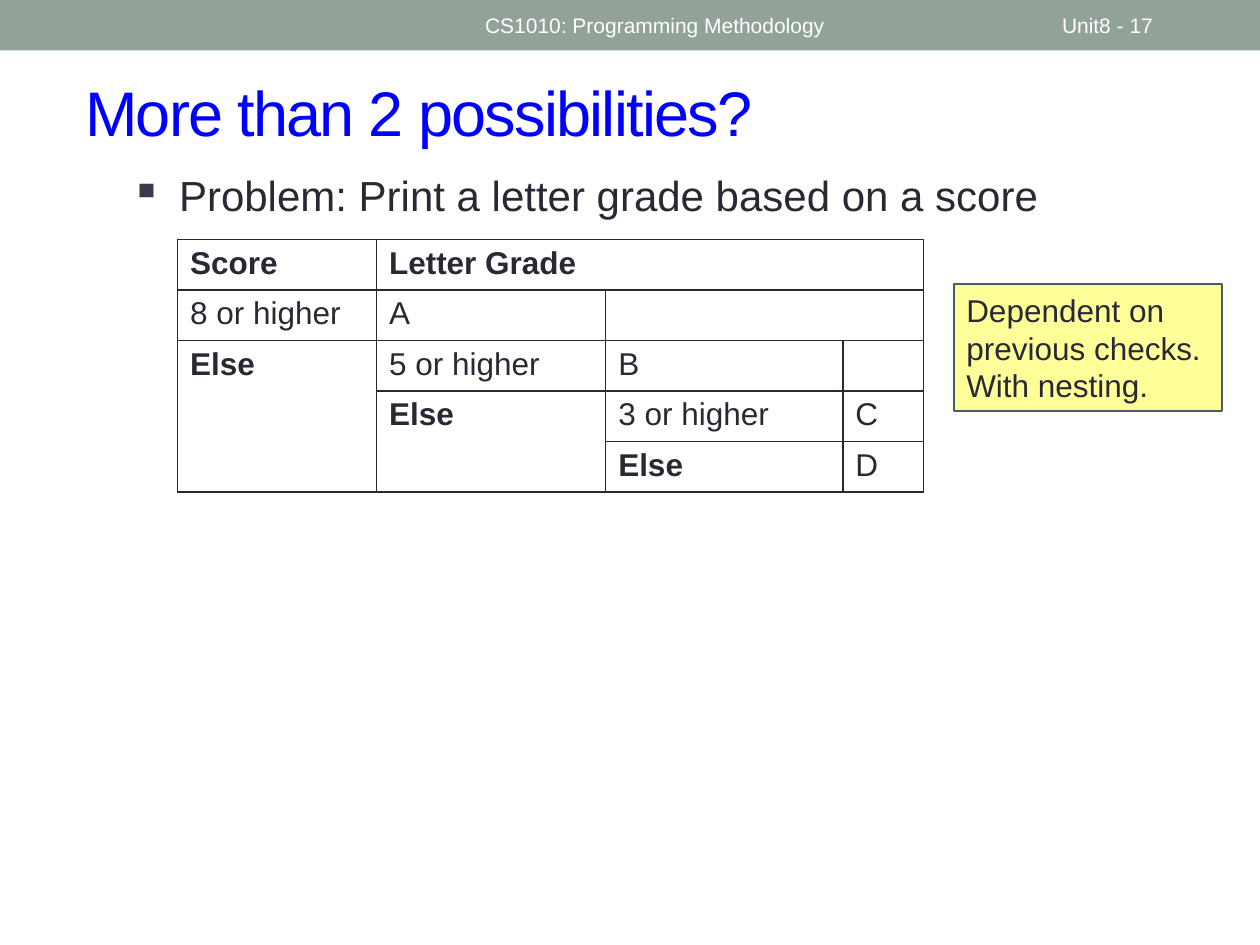
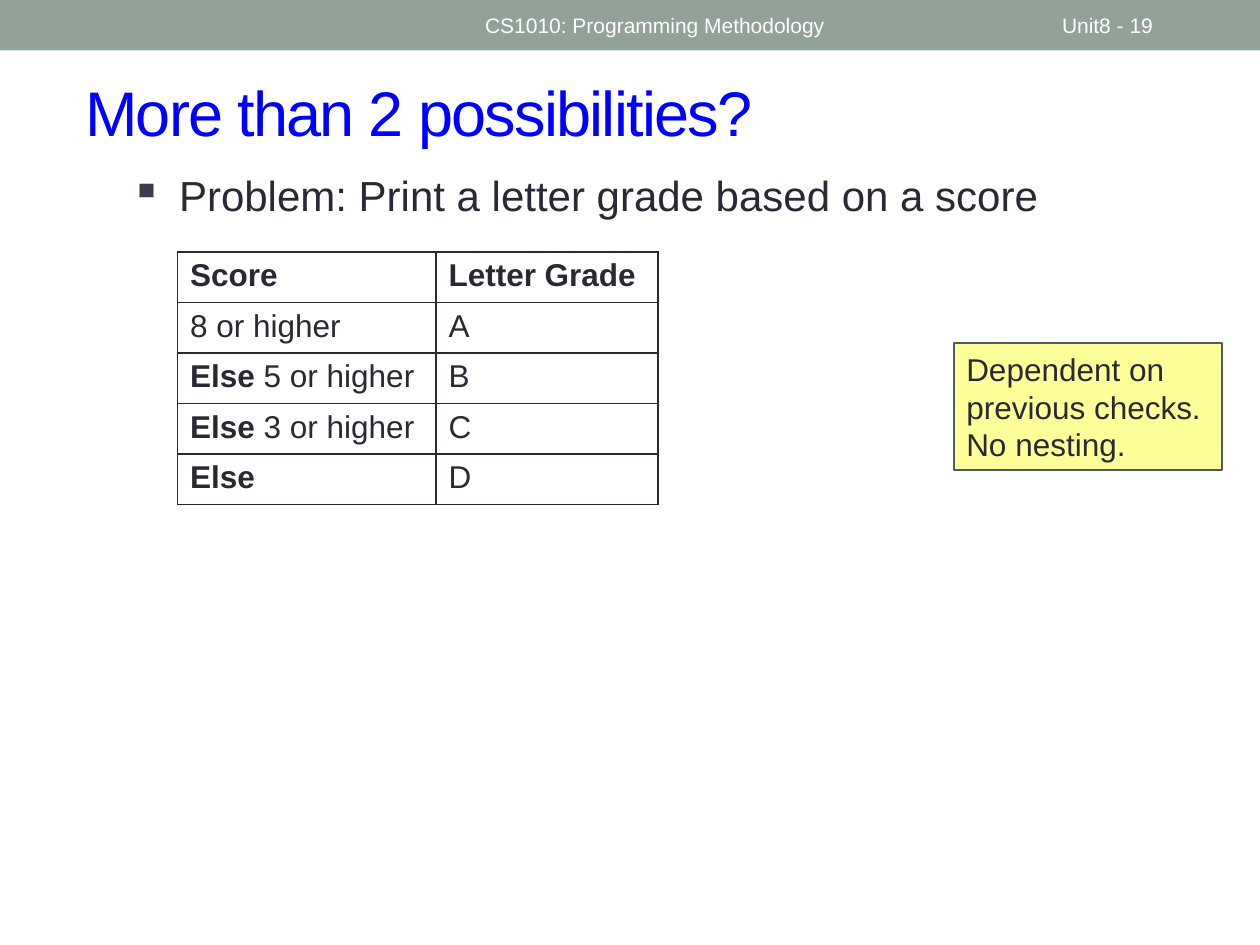
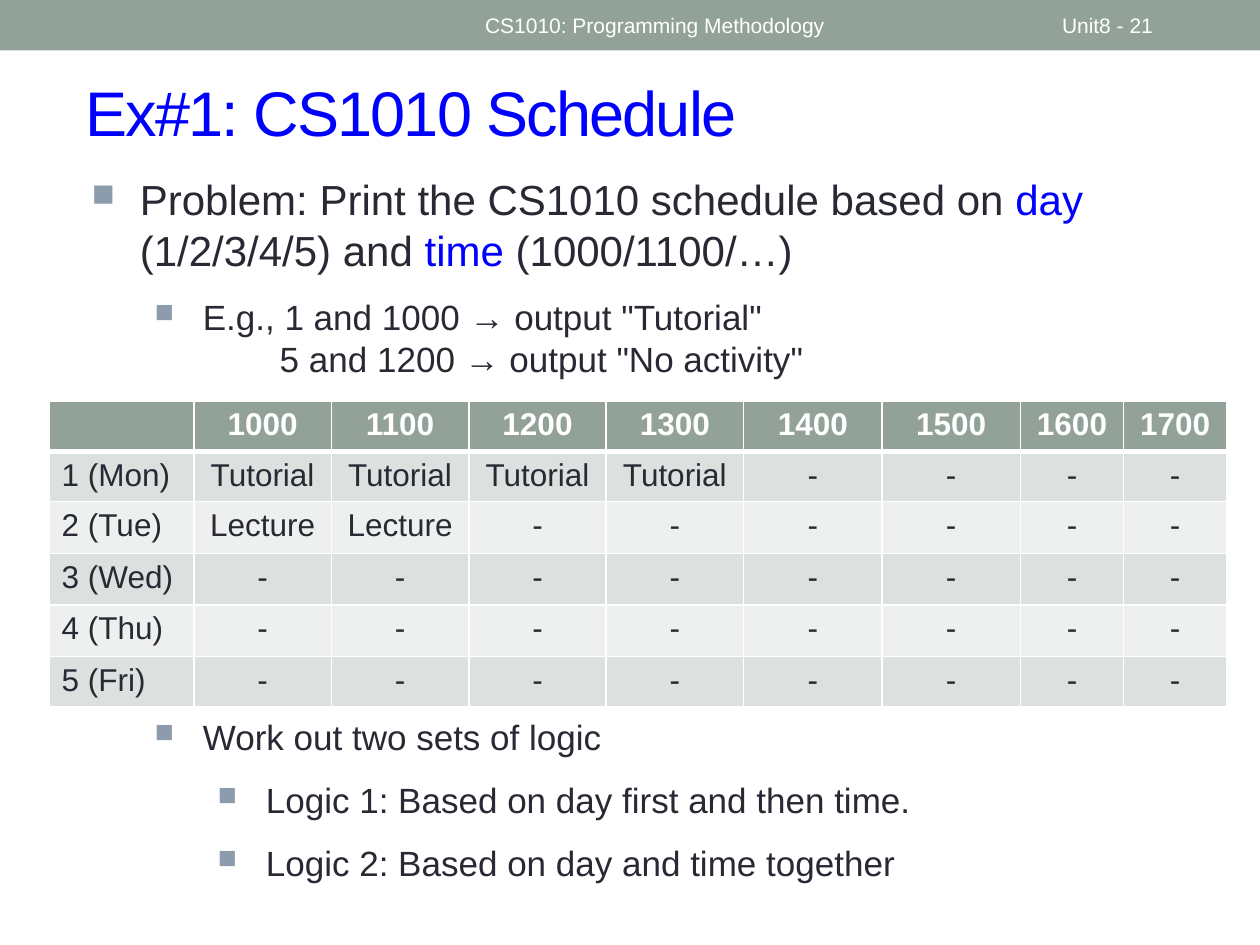
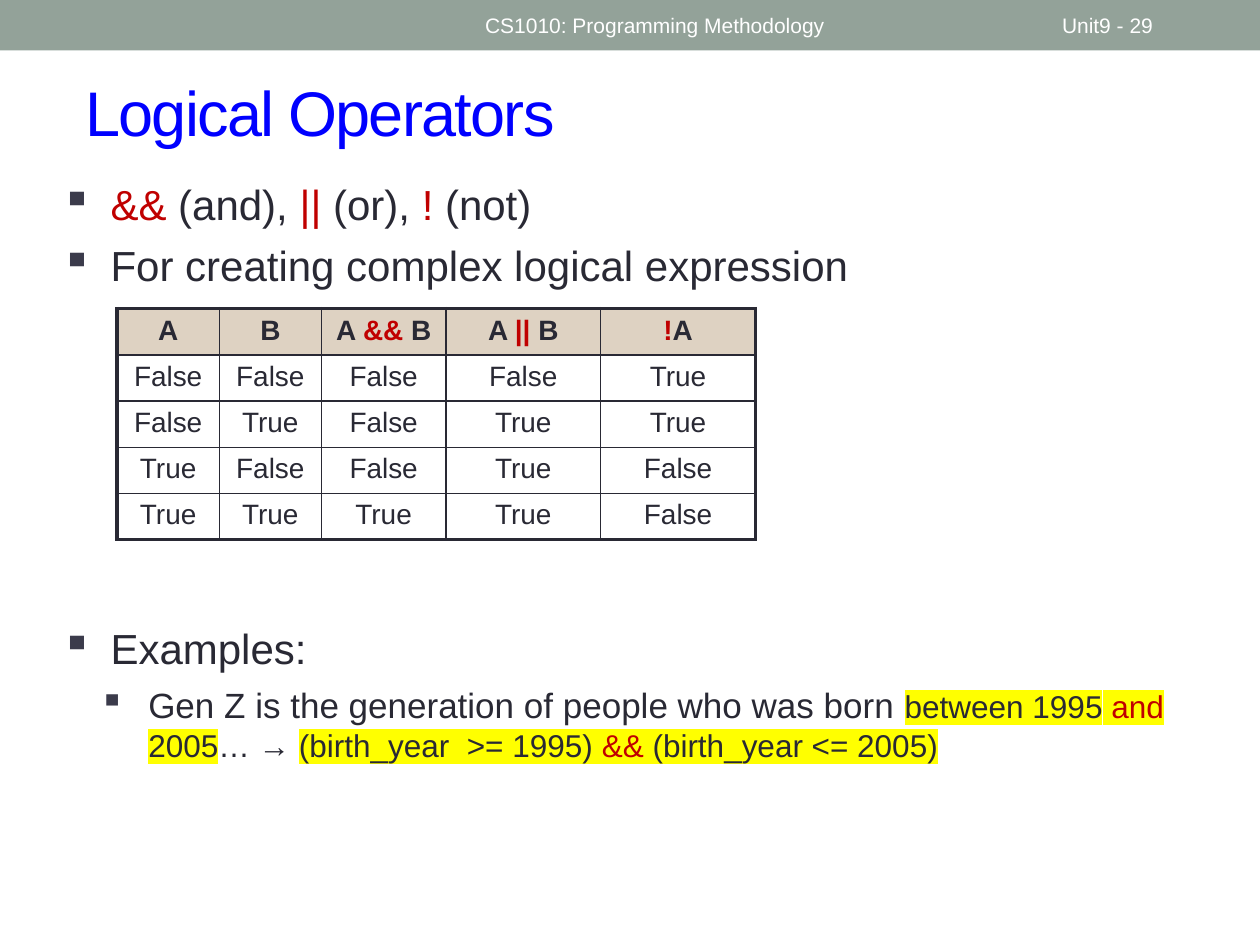
from lxml.etree import SubElement
from pptx import Presentation
from pptx.dml.color import RGBColor
from pptx.enum.shapes import MSO_SHAPE
from pptx.enum.text import MSO_ANCHOR, MSO_AUTO_SIZE, PP_ALIGN
from pptx.oxml.ns import qn
from pptx.util import Cm, Pt

INK = RGBColor(0x29, 0x29, 0x34)
WHITE = RGBColor(0xFF, 0xFF, 0xFF)
SAGE = RGBColor(0x93, 0xA2, 0x99)
BLUE = RGBColor(0x00, 0x00, 0xFF)
RED = RGBColor(0xC0, 0x00, 0x00)
NOTE_FILL = RGBColor(0xFF, 0xFF, 0x99)
NOTE_LINE = RGBColor(0x4C, 0x5A, 0x6A)
MARKER = RGBColor(0xFF, 0xFF, 0x00)
DARK_BULLET = RGBColor(0x3B, 0x3B, 0x4B)
GREY_BULLET = RGBColor(0x8C, 0x9C, 0xAD)
BAND_DARK = RGBColor(0xDC, 0xE0, 0xDE)
BAND_LIGHT = RGBColor(0xEE, 0xF0, 0xEF)
TAN = RGBColor(0xDE, 0xD2, 0xC2)

FONT = "Arial"
COURSE = "CS1010: Programming Methodology"
BOLD = {"bold": True}
IN_BLUE = {"color": BLUE}
IN_RED = {"color": RED}
MARKED = {"size": Pt(18), "highlight": MARKER}
MARKED_RED = {**MARKED, **IN_RED}
SMALL_SQUARE = {"char": "▪", "color": DARK_BULLET, "percent": 100}
BIG_SQUARE = {"char": "■", "color": GREY_BULLET, "percent": 75}


def add_runs(p, runs, size, color=INK, bold=False, spacing=None):
    """Fill a paragraph with plain strings or (text, format) pairs."""
    for item in [runs] if isinstance(runs, str) else runs:
        text, own = (item, {}) if isinstance(item, str) else item
        fmt = {"name": FONT, "size": Pt(size), "bold": bold, "color": color, **own}
        r = p.add_run()
        r.text = text
        r.font.color.rgb = fmt.pop("color")
        highlight = fmt.pop("highlight", None)
        for name, value in fmt.items():
            setattr(r.font, name, value)
        rPr = r.font._element
        if spacing is not None:
            rPr.set("spc", str(spacing))
        if highlight is not None:
            mark = SubElement(rPr, qn("a:highlight"))
            SubElement(mark, qn("a:srgbClr"), val=str(highlight))
            rPr.find(qn("a:solidFill")).addnext(mark)


def add_text(s, at, runs=None, size=12, color=INK, anchor=MSO_ANCHOR.MIDDLE, spacing=None):
    """Add a wrapping text box and return its text frame."""
    tf = s.shapes.add_textbox(*map(Cm, at)).text_frame
    tf.word_wrap = True
    tf.vertical_anchor = anchor
    if runs:
        add_runs(tf.paragraphs[0], runs, size, color, spacing=spacing)
    return tf


def add_box(s, at, fill, line=None):
    """Add a flat rectangle, outlined when a line colour is given."""
    sp = s.shapes.add_shape(MSO_SHAPE.RECTANGLE, *map(Cm, at))
    sp.shadow.inherit = False
    sp.fill.solid()
    sp.fill.fore_color.rgb = fill
    if line is None:
        sp.line.fill.background()
    else:
        sp.line.color.rgb = line
        sp.line.width = Pt(1)
    return sp


def add_frame(prs, title, page):
    """Start a slide with its band, title, course name and page."""
    s = prs.slides.add_slide(prs.slide_layouts[6])
    add_box(s, (0, 0, 25.4, 1.02), SAGE)
    add_text(s, (1.47, 1.07, 23.29, 2.34), title, 36, BLUE, spacing=-100)
    add_text(s, (21.16, 0.05, 2.97, 0.91), page, color=WHITE)
    add_text(s, (9.53, 0.05, 11.43, 0.91), COURSE, color=WHITE)
    return s


def set_bullet(p, margin, hang, bullet):
    """Indent a paragraph and give it a bullet, if there is one."""
    pPr = p._p.get_or_add_pPr()
    pPr.set("marL", str(Cm(margin)))
    pPr.set("indent", str(-Cm(hang)))
    if bullet is None:
        SubElement(pPr, qn("a:buNone"))
        return
    color = SubElement(pPr, qn("a:buClr"))
    SubElement(color, qn("a:srgbClr"), val=str(bullet["color"]))
    SubElement(pPr, qn("a:buSzPct"), val=str(bullet["percent"] * 1000))
    SubElement(pPr, qn("a:buChar"), char=bullet["char"])


def add_bullets(s, at, items, bullet, hang):
    """Add a body of (level, margin, size, space before, runs) paragraphs."""
    tf = add_text(s, at, anchor=MSO_ANCHOR.TOP)
    for i, (level, margin, size, before, runs) in enumerate(items):
        p = tf.add_paragraph() if i else tf.paragraphs[0]
        p.level = level
        p.space_before = Pt(before)
        continued = before == 0 and i > 0
        set_bullet(p, margin, 0 if continued else hang, None if continued else bullet)
        add_runs(p, runs, size)


def add_note(s, top, lines):
    """Add the yellow remark at the right of the slide."""
    sp = add_box(s, (19.23, top, 5.41, 2.57), NOTE_FILL, NOTE_LINE)
    tf = sp.text_frame
    tf.word_wrap = True
    tf.auto_size = MSO_AUTO_SIZE.SHAPE_TO_FIT_TEXT
    for i, line in enumerate(lines):
        p = tf.add_paragraph() if i else tf.paragraphs[0]
        p.alignment = PP_ALIGN.LEFT
        add_runs(p, line, 18)


def set_borders(cell, color, widths):
    """Draw the left, right, top and bottom borders of a cell."""
    tcPr = cell._tc.get_or_add_tcPr()
    for side, width in zip("LRTB", widths):
        ln = SubElement(tcPr, qn(f"a:ln{side}"), w=str(Pt(width)))
        fill = SubElement(ln, qn("a:solidFill"))
        SubElement(fill, qn("a:srgbClr"), val=str(color))


def add_grid(s, left, top, cols, rows, data, fills, aligns, size=18,
             line=INK, head_color=INK, outer=1, under_head=1, merges=()):
    """Add a table with a bold head row, ruled cells and merged areas."""
    last_row, last_col = len(rows) - 1, len(cols) - 1
    table = s.shapes.add_table(len(rows), len(cols), Cm(left), Cm(top),
                               Cm(sum(cols)), Cm(sum(rows))).table
    table.horz_banding = False
    for column, width in zip(table.columns, cols):
        column.width = Cm(width)
    for row, height in zip(table.rows, rows):
        row.height = Cm(height)
    for i, values in enumerate(data):
        for j, runs in enumerate(values):
            cell = table.cell(i, j)
            set_borders(cell, line, (
                outer if j == 0 else 1,
                outer if j == last_col else 1,
                outer if i == 0 else under_head if i == 1 else 1,
                under_head if i == 0 else outer if i == last_row else 1))
            cell.fill.solid()
            cell.fill.fore_color.rgb = fills[i]
            p = cell.text_frame.paragraphs[0]
            p.alignment = aligns[j]
            if runs:
                add_runs(p, runs, size, INK if i else head_color, bold=i == 0)
    for first, last in merges:
        table.cell(*first).merge(table.cell(*last))


def add_grade_slide(prs, page, top, cols, data, note_top, note, merges=()):
    """Add a slide that maps scores to letter grades."""
    s = add_frame(prs, "More than 2 possibilities?", page)
    problem = "Problem: Print a letter grade based on a score"
    add_bullets(s, (1.63, 3.3, 22.86, 9.4), [(1, 1.73, 24, 0, problem)], SMALL_SQUARE, 0.97)
    add_grid(s, 3.58, top, cols, [0.97] * 5, data, [WHITE] * 5,
             [PP_ALIGN.LEFT] * len(cols), merges=merges)
    add_note(s, note_top, ["Dependent on previous checks.", note])


def add_schedule_slide(prs):
    """Add the timetable exercise."""
    s = add_frame(prs, "Ex#1: CS1010 Schedule", "Unit8 - 21")
    add_bullets(s, (1.6, 3.38, 23.24, 15), [
        (0, 0.97, 24, 0, ["Problem: Print the CS1010 schedule based on ", ("day ", IN_BLUE),
                          "(1/2/3/4/5) and ", ("time ", IN_BLUE), "(1000/1100/…)"]),
        (1, 2.24, 20, 12, 'E.g., 1 and 1000 → output "Tutorial"'),
        (1, 3.79, 20, 0, '5 and 1200 → output "No activity"'),
        (1, 2.24, 20, 192, "Work out two sets of logic"),
        (2, 3.51, 20, 12, "Logic 1: Based on day first and then time."),
        (2, 3.51, 20, 12, "Logic 2: Based on day and time together"),
    ], BIG_SQUARE, 0.97)
    activities = {"1 (Mon)": ["Tutorial"] * 4, "2 (Tue)": ["Lecture"] * 2,
                  "3 (Wed)": [], "4 (Thu)": [], "5 (Fri)": []}
    data = [[None] + [str(hour) for hour in range(1000, 1800, 100)]]
    data += [[day] + busy + ["-"] * (8 - len(busy)) for day, busy in activities.items()]
    add_grid(s, 0.99, 8.08, [2.92] + [2.77] * 4 + [2.79] * 2 + [2.08] * 2,
             [0.97, 0.97, 1.04, 1.04, 1.04, 0.97], data,
             [SAGE] + [BAND_DARK, BAND_LIGHT] * 2 + [BAND_DARK],
             [PP_ALIGN.LEFT] + [PP_ALIGN.CENTER] * 8,
             line=WHITE, head_color=WHITE, under_head=3)


def add_operators_slide(prs):
    """Add the truth table of the logical operators."""
    s = add_frame(prs, "Logical Operators", "Unit9 - 29")
    add_bullets(s, (0.99, 3.48, 23.32, 15.39), [
        (0, 0.99, 24, 0, [("&&", IN_RED), " (and), ", ("||", IN_RED), " (or), ",
                          ("!", IN_RED), " (not)"]),
        (0, 0.99, 24, 6, "For creating complex logical expression"),
        (0, 0.99, 24, 190, "Examples:"),
        (1, 1.75, 20, 6, ["Gen Z is the generation of people who was born ",
                          ("between 1995", MARKED), (" and ", MARKED_RED), ("2005", MARKED),
                          ("… → ", {"size": Pt(18)}), ("(birth_year  >= 1995) ", MARKED),
                          ("&&", MARKED_RED), (" (birth_year <= 2005)", MARKED)]),
    ], SMALL_SQUARE, 0.99)
    data = [["A", "B", ["A ", ("&&", IN_RED), " B"], ["A ", ("||", IN_RED), " B"],
             [("!", IN_RED), "A"]]]
    for a in (False, True):
        for b in (False, True):
            data.append([str(value) for value in (a, b, a and b, a or b, not a)])
    add_grid(s, 2.36, 6.22, [2.06, 2.06, 2.51, 3.12, 3.12], [0.89] + [0.93] * 4, data,
             [TAN] + [WHITE] * 4, [PP_ALIGN.CENTER] * 5, size=16, outer=2.25)


def main():
    """Build the four slides and save them."""
    prs = Presentation()
    prs.slide_width, prs.slide_height = Cm(25.4), Cm(19.05)
    bold_else = [("Else", BOLD)]
    add_grade_slide(prs, "Unit8 - 17", 4.83, [4.01, 4.62, 4.78, 1.63], [
        ["Score", "Letter Grade", None, None],
        ["8 or higher", "A", None, None],
        [bold_else, "5 or higher", "B", None],
        [None, bold_else, "3 or higher", "C"],
        [None, None, bold_else, "D"],
    ], 5.72, "With nesting.", merges=[
        ((0, 1), (0, 3)), ((1, 2), (1, 3)), ((2, 0), (4, 0)), ((3, 1), (4, 1))])
    add_grade_slide(prs, "Unit8 - 19", 5.08, [5.21, 4.47], [
        ["Score", "Letter Grade"],
        ["8 or higher", "A"],
        [bold_else + [" 5 or higher"], "B"],
        [bold_else + [" 3 or higher"], "C"],
        [bold_else, "D"],
    ], 6.91, "No nesting.")
    add_schedule_slide(prs)
    add_operators_slide(prs)
    prs.save("out.pptx")


if __name__ == "__main__":
    main()
